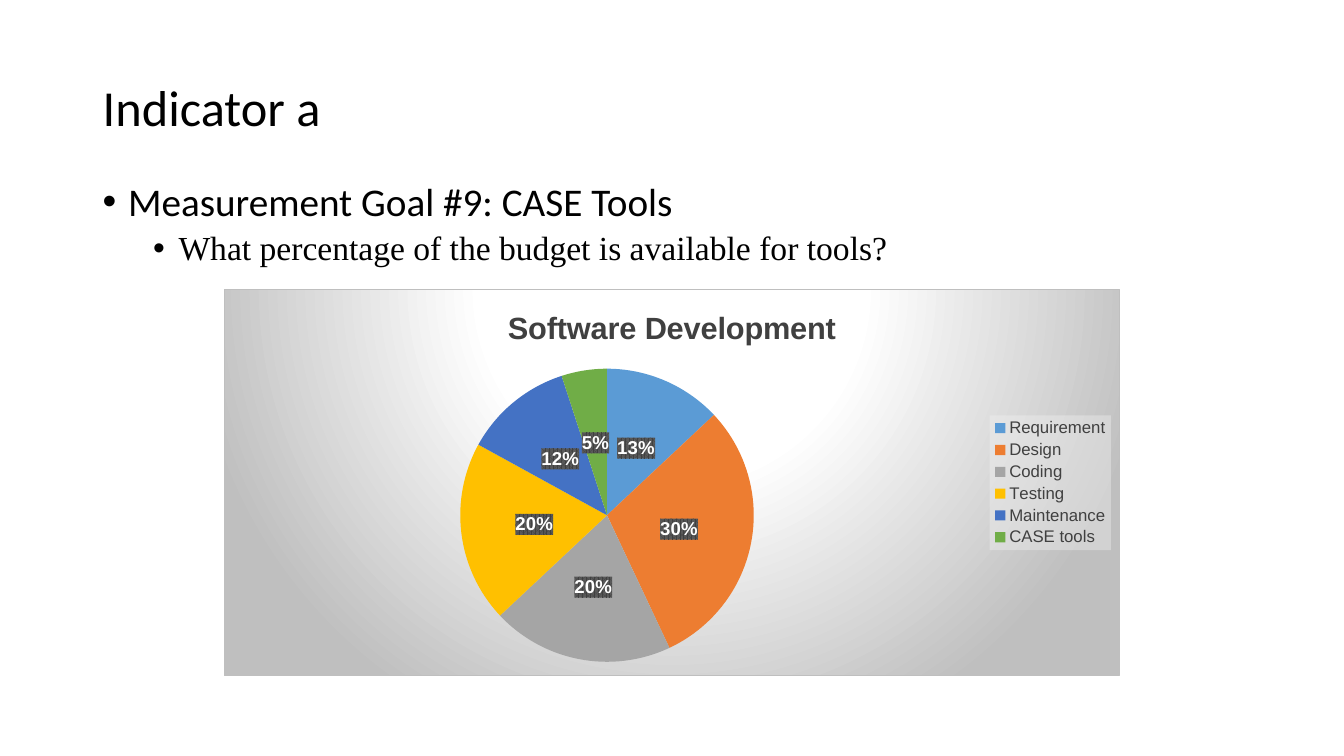
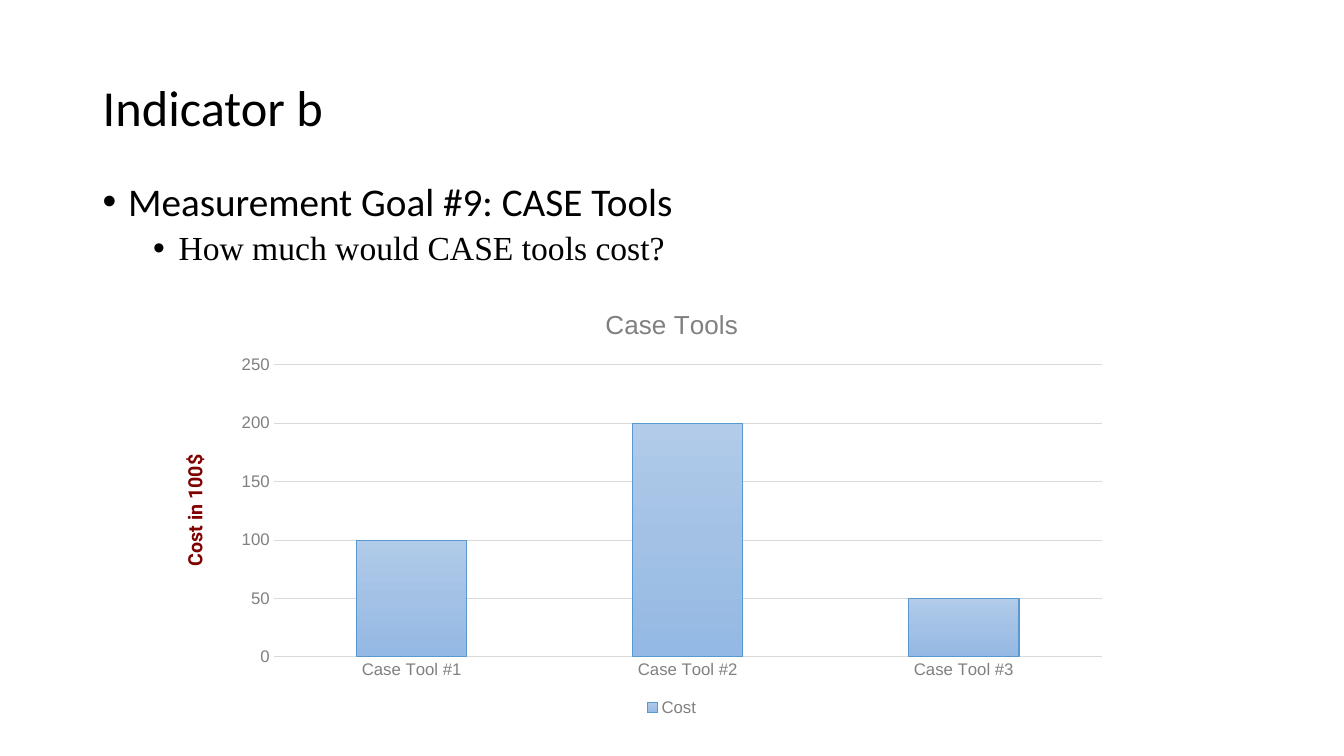
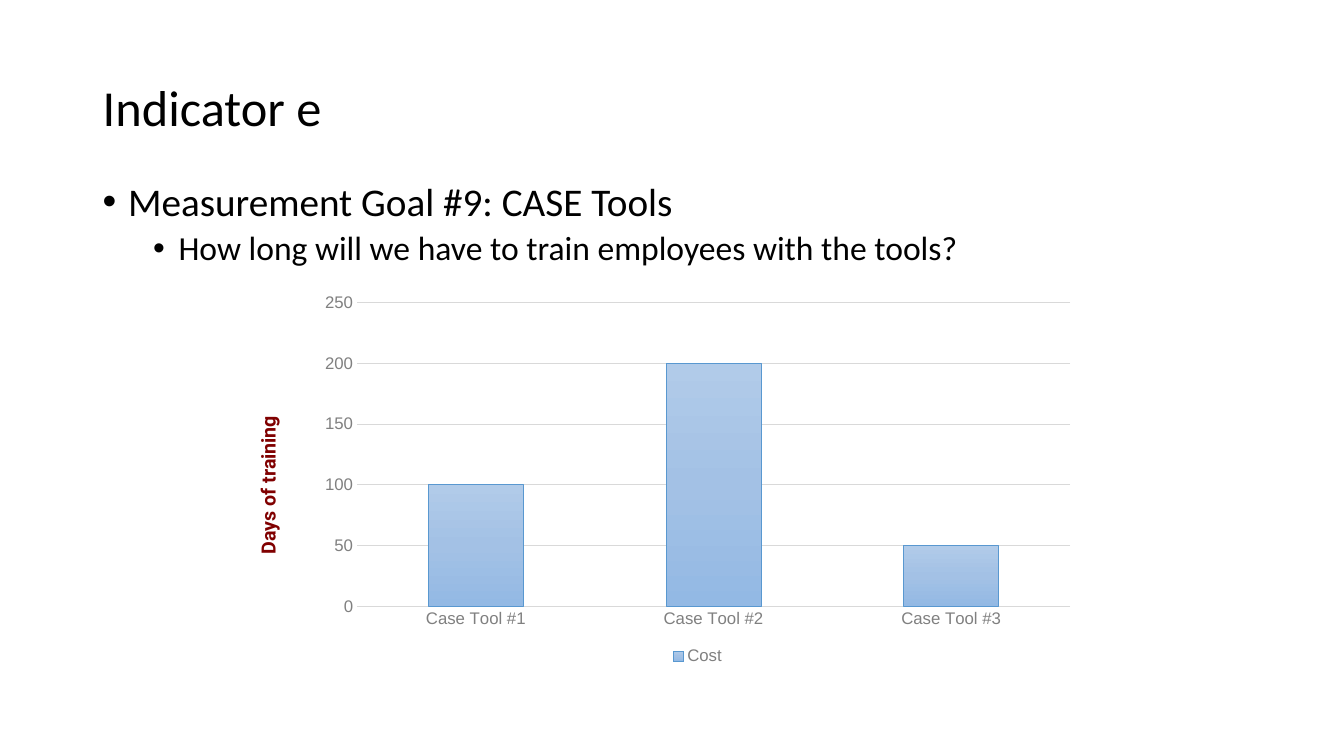
from pptx import Presentation
from pptx.chart.data import CategoryChartData
from pptx.dml.color import RGBColor
from pptx.enum import chart as charts, text
from pptx.oxml import parse_xml
from pptx.oxml.ns import nsdecls, qn
from pptx.util import Cm, Pt

BLACK = RGBColor(0x00, 0x00, 0x00)
WHITE = RGBColor(0xFF, 0xFF, 0xFF)
MAROON = RGBColor(0x80, 0x00, 0x00)
GREY = RGBColor(0x80, 0x80, 0x80)
DARK_GREY = RGBColor(0x40, 0x40, 0x40)
MID_GREY = RGBColor(0x59, 0x59, 0x59)
SILVER = RGBColor(0xBF, 0xBF, 0xBF)
GRID_GREY = RGBColor(0xD9, 0xD9, 0xD9)
LEGEND_GREY = RGBColor(0xF2, 0xF2, 0xF2)
BAR_TOP = RGBColor(0xB1, 0xCB, 0xE9)
BAR_MIDDLE = RGBColor(0xA3, 0xC1, 0xE5)
BAR_BOTTOM = RGBColor(0x93, 0xB9, 0xE4)
BAR_LINE = RGBColor(0x59, 0x98, 0xD0)
BLUE = RGBColor(0x5B, 0x9B, 0xD5)
ORANGE = RGBColor(0xED, 0x7D, 0x31)
MEDIUM_GREY = RGBColor(0xA5, 0xA5, 0xA5)
YELLOW = RGBColor(0xFF, 0xC0, 0x00)
ROYAL = RGBColor(0x44, 0x72, 0xC4)
GREEN = RGBColor(0x70, 0xAD, 0x47)

HEADING_FONT, CHART_FONT, LABEL_FONT = "Calibri", "Arial", "Roboto"
QUESTION_FONT = "Times New Roman"

# Boxes are left, top, width, height in centimetres.
TITLE_BOX = (2.34, 1.73, 29.21, 2.08)
GOAL_BOX = (2.34, 4.47, 29.21, 2.87)
GOAL = "Measurement Goal #9: CASE Tools"

BUDGET_SHARES = [
    ("Requirement", 13, BLUE),
    ("Design", 30, ORANGE),
    ("Coding", 20, MEDIUM_GREY),
    ("Testing", 20, YELLOW),
    ("Maintenance", 12, ROYAL),
    ("CASE tools", 5, GREEN),
]
TOOL_COSTS = {"Case Tool #1": 100, "Case Tool #2": 200, "Case Tool #3": 50}


def set_font(font, name, size, color, bold=False):
    font.name, font.size, font.bold = name, Pt(size), bold
    font.color.rgb = color


def color_xml(color, inner=""):
    return f'<a:srgbClr val="{color}">{inner}</a:srgbClr>'


def gradient_xml(stops, direction):
    stop_xml = "".join(f'<a:gs pos="{position * 1000}">{color_xml(color)}</a:gs>'
                       for position, color in stops)
    return (f'<a:gradFill {nsdecls("a")} rotWithShape="1">'
            f"<a:gsLst>{stop_xml}</a:gsLst>{direction}</a:gradFill>")


def style_before_text(parent, fill, line="<a:noFill/>"):
    """Give a chart part a fill and an outline, ahead of its text properties."""
    properties = parse_xml(f'<c:spPr {nsdecls("c", "a")}>{fill}'
                           f'<a:ln w="9525">{line}</a:ln></c:spPr>')
    parent.find(qn("c:txPr")).addprevious(properties)


def add_text_box(slide, box):
    shape = slide.shapes.add_textbox(*map(Cm, box))
    shape.text_frame.word_wrap = True
    return shape


def add_bullet(paragraph, content, indent, font_name, size):
    paragraph.text = content
    paragraph.line_spacing = 0.9
    set_font(paragraph.runs[0].font, font_name, size, BLACK)
    properties = paragraph._p.get_or_add_pPr()
    properties.set("marL", str(Cm(indent)))
    properties.set("indent", str(-Cm(0.64)))
    properties.append(parse_xml(f'<a:buFont {nsdecls("a")} typeface="Arial"/>'))
    properties.append(parse_xml(f'<a:buChar {nsdecls("a")} char="•"/>'))


def add_indicator_slide(presentation, title, question, question_font=QUESTION_FONT):
    """Add a slide with its title, the shared goal and the question below it."""
    slide = presentation.slides.add_slide(presentation.slide_layouts[6])
    title_frame = add_text_box(slide, TITLE_BOX).text_frame
    title_frame.vertical_anchor = text.MSO_ANCHOR.MIDDLE
    title_frame.text = title
    title_frame.paragraphs[0].line_spacing = 0.9
    set_font(title_frame.paragraphs[0].runs[0].font, HEADING_FONT, 36, BLACK)

    goal_frame = add_text_box(slide, GOAL_BOX).text_frame
    add_bullet(goal_frame.paragraphs[0], GOAL, 0.64, HEADING_FONT, 28)
    paragraph = goal_frame.add_paragraph()
    paragraph.space_before = Pt(5)
    add_bullet(paragraph, question, 1.91, question_font, 24)
    return slide


def add_chart(slide, box, kind, series_name, values, legend_position, color):
    """Add a one-series chart with its legend; values maps category to number."""
    data = CategoryChartData()
    data.categories = list(values)
    data.add_series(series_name, list(values.values()))
    chart = slide.shapes.add_chart(kind, *map(Cm, box), data).chart
    set_font(chart.font, CHART_FONT, 10, BLACK)
    chart.has_title = False
    chart.has_legend = True
    chart.legend.position = legend_position
    chart.legend.include_in_layout = False
    set_font(chart.legend.font, CHART_FONT, 12, color)
    return chart


def set_chart_title(chart, title, size, color, bold=False):
    chart.has_title = True
    frame = chart.chart_title.text_frame
    frame.text = title
    set_font(frame.paragraphs[0].runs[0].font, CHART_FONT, size, color, bold)


def add_budget_pie(slide, box):
    values = {name: share for name, share, _ in BUDGET_SHARES}
    chart = add_chart(slide, box, charts.XL_CHART_TYPE.PIE, "Series 1", values,
                      charts.XL_LEGEND_POSITION.RIGHT, DARK_GREY)
    set_chart_title(chart, "Software Development", 22, DARK_GREY, bold=True)
    backdrop = gradient_xml(
        [(0, WHITE), (39, WHITE), (100, SILVER)],
        '<a:path path="circle"><a:fillToRect l="50000" t="-80000" '
        'r="50000" b="180000"/></a:path>')
    style_before_text(chart.element, backdrop,
                      f"<a:solidFill>{color_xml(SILVER)}</a:solidFill>")
    veil = color_xml(LEGEND_GREY, '<a:alpha val="39000"/>')
    style_before_text(chart.element.find(f'.//{qn("c:legend")}'),
                      f"<a:solidFill>{veil}</a:solidFill>")

    plot = chart.plots[0]
    plot.vary_by_categories = True
    for index, (_, _, color) in enumerate(BUDGET_SHARES):
        fill = plot.series[0].points[index].format.fill
        fill.solid()
        fill.fore_color.rgb = color

    plot.has_data_labels = True
    labels = plot.data_labels
    labels.show_value = False
    labels.show_percentage = True
    labels.number_format = "0%"
    labels.number_format_is_linked = False
    labels.position = charts.XL_LABEL_POSITION.CENTER
    set_font(labels.font, CHART_FONT, 13.3, WHITE, bold=True)
    style_before_text(
        chart.element.find(f'.//{qn("c:dLbls")}'),
        f'<a:pattFill prst="pct75"><a:fgClr>{color_xml(DARK_GREY)}</a:fgClr>'
        f"<a:bgClr>{color_xml(MID_GREY)}</a:bgClr></a:pattFill>")


def add_tool_columns(slide, box, title=None):
    chart = add_chart(slide, box, charts.XL_CHART_TYPE.COLUMN_STACKED, "Cost",
                      TOOL_COSTS, charts.XL_LEGEND_POSITION.BOTTOM, GREY)
    style_before_text(chart.element, "<a:noFill/>")
    if title:
        set_chart_title(chart, title, 18.6, GREY)

    for axis in (chart.category_axis, chart.value_axis):
        axis.major_tick_mark = axis.minor_tick_mark = charts.XL_TICK_MARK.NONE
        set_font(axis.tick_labels.font, CHART_FONT, 12, GREY)
    chart.value_axis.format.line.fill.background()
    chart.value_axis.maximum_scale = 250
    chart.value_axis.minimum_scale = 0
    chart.value_axis.major_unit = 50
    chart.value_axis.has_major_gridlines = True
    for line in (chart.category_axis.format.line,
                 chart.value_axis.major_gridlines.format.line):
        line.color.rgb = GRID_GREY
        line.width = Pt(0.75)

    plot = chart.plots[0]
    plot.vary_by_categories = False
    plot.gap_width, plot.overlap = 150, 100
    outline = plot.series[0].format.line
    outline.color.rgb = BAR_LINE
    outline.width = Pt(0.75)
    bar_fill = gradient_xml([(0, BAR_TOP), (50, BAR_MIDDLE), (100, BAR_BOTTOM)],
                            '<a:lin ang="5400000" scaled="0"/>')
    bar_style = chart.element.find(f'.//{qn("c:ser")}/{qn("c:spPr")}')
    bar_style.insert(0, parse_xml(bar_fill))


def add_axis_label(slide, box, content):
    shape = add_text_box(slide, box)
    shape.rotation = 270
    frame = shape.text_frame
    frame.margin_left = frame.margin_right = frame.margin_bottom = 0
    frame.margin_top = Cm(0.03)
    frame.text = content
    set_font(frame.paragraphs[0].runs[0].font, LABEL_FONT, 14, MAROON, bold=True)


def main():
    presentation = Presentation()
    presentation.slide_width, presentation.slide_height = Cm(33.87), Cm(19.05)

    slide = add_indicator_slide(
        presentation, "Indicator a",
        "What percentage of the budget is available for tools?")
    add_budget_pie(slide, (5.64, 7.29, 22.58, 9.75))

    slide = add_indicator_slide(presentation, "Indicator b",
                                "How much would CASE tools cost?")
    add_tool_columns(slide, (5.64, 7.26, 22.58, 10.9), "Case Tools")
    add_axis_label(slide, (2.67, 11.76, 4.42, 0.61), "Cost in 100$")

    slide = add_indicator_slide(
        presentation, "Indicator e",
        "How long will we have to train employees with the tools?", HEADING_FONT)
    add_axis_label(slide, (4.52, 11.46, 4.42, 0.61), "Days of training")
    add_tool_columns(slide, (7.8, 7.21, 19.56, 9.65))

    presentation.save("out.pptx")


if __name__ == "__main__":
    main()
